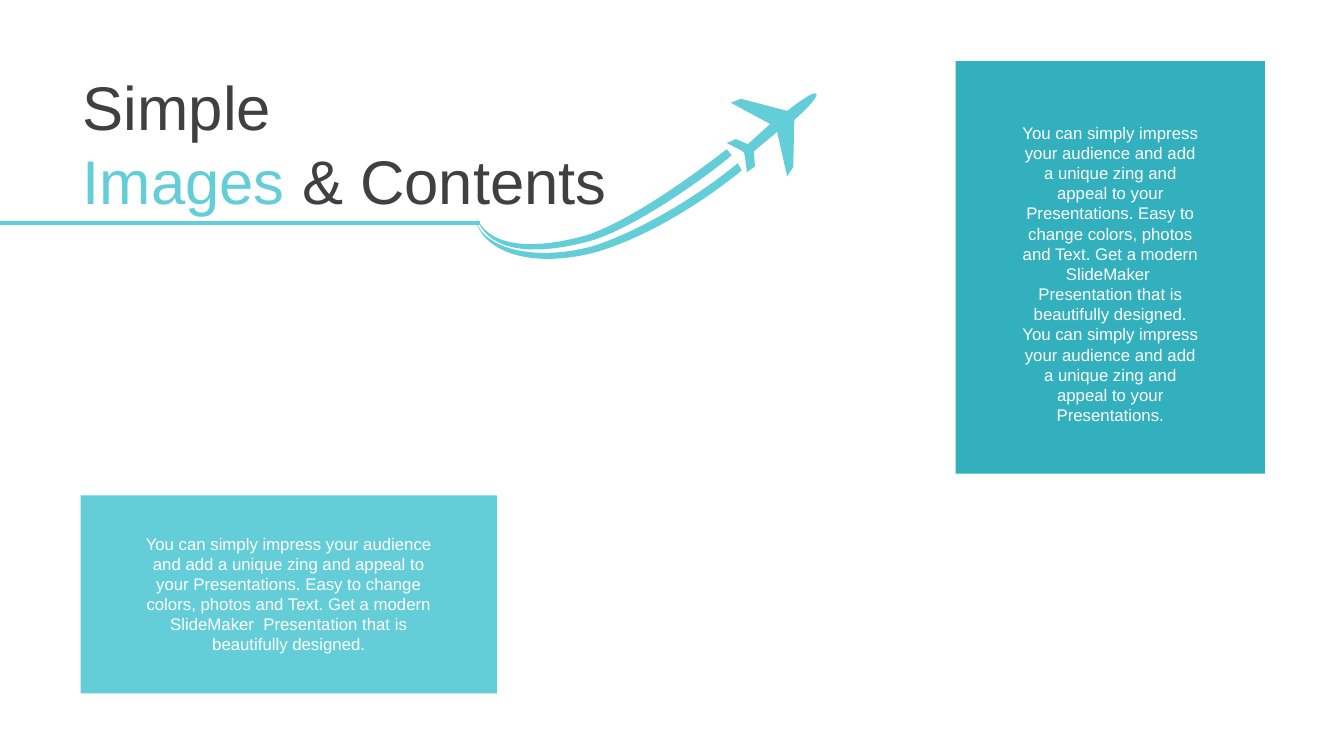
from lxml import etree
from pptx import Presentation
from pptx import util as u
from pptx.dml.color import RGBColor
from pptx.enum import shapes, text
from pptx.oxml.ns import qn

COLORS = {"dark": "404040", "aqua": "64CED8", "teal": "32B0BE", "white": "FFFFFF"}
FONT = "Arial"
BODY_PITCH = 14.4
PITCH = "You can simply impress your audience and add a unique zing and appeal to your Presentations."
DETAIL = " Easy to change colors, photos and Text. Get a modern SlideMaker  Presentation that is beautifully designed."

# Outlines in points from the corner of the flight box:
# a pair is a corner, six numbers are a Bezier curve (two controls, end).
PLANE = [
    (193.5, 59.1), (192.1, 47.6), (191.4, 44.7, 191.4, 44.7, 189.2, 43.3),
    (179.1, 38.2), (185.6, 35.4), (194.2, 39), (210.1, 24.6), (182, 9.4),
    (189.2, 6.6), (222.3, 15.2), (228.8, 10.2, 241, 0.8, 243.2, 3),
    (244.6, 5.8, 233.1, 16.6, 227.4, 21.7), (226.6, 55.5), (222.3, 62),
    (215.1, 30.3), (198.6, 44), (198.6, 46.9, 199.3, 54.8, 199.3, 54.8),
]
UPPER_TRAIL = [
    (182.7, 46.9), (164, 62.7, 115, 98, 81.9, 108.1),
    (33.7, 121, 7, 112.4, 0.6, 91.5), (9.9, 113.1, 42.3, 114.6, 79.8, 103.8),
    (113.6, 92.2, 160.4, 57, 179.1, 42.6),
]
LOWER_TRAIL = [
    (189.9, 57.7), (161.1, 81.4, 120.8, 105.9, 86.2, 116),
    (40.9, 128.2, 6.3, 116.7, -0.2, 93.7), (7, 115.3, 45.2, 122.5, 84.1, 111.7),
    (119.4, 100.2, 161.1, 74.2, 187, 52.6),
]


def color(name):
    """Return the named colour."""
    return RGBColor.from_string(COLORS[name])


def fill_plain(shape, name):
    """Give a shape a flat fill with no outline or shadow."""
    shape.shadow.inherit = False
    shape.fill.solid()
    shape.fill.fore_color.rgb = color(name)
    shape.line.fill.background()


def flatten(outline, steps=16):
    """Sample an outline so that its true extent is known."""
    points = []
    for segment in outline:
        if len(segment) == 2:
            points.append(segment)
            continue
        controls = [points[-1], segment[:2], segment[2:4], segment[4:]]
        for step in range(1, steps + 1):
            t = step / steps
            weights = ((1 - t) ** 3, 3 * t * (1 - t) ** 2, 3 * t * t * (1 - t), t ** 3)
            points.append(tuple(
                sum(weight * point[axis] for weight, point in zip(weights, controls))
                for axis in (0, 1)))
    return points


def add_outline(parent, left, top, outline, fill):
    """Place a filled outline whose curves are true Bezier segments."""
    points = [(u.Pt(left + x), u.Pt(top + y)) for x, y in flatten(outline)]
    builder = parent.shapes.build_freeform(*points[0])
    builder.add_line_segments(points[1:], close=True)
    shape = builder.convert_to_shape()
    fill_plain(shape, fill)
    origin_x, origin_y = min(x for x, _ in points), min(y for _, y in points)
    geometry = next(shape.element.iter(qn("a:path")))
    for child in list(geometry):
        geometry.remove(child)
    for index, segment in enumerate(outline):
        tag = "a:cubicBezTo" if len(segment) == 6 else "a:lnTo" if index else "a:moveTo"
        command = etree.SubElement(geometry, qn(tag))
        for x, y in zip(segment[::2], segment[1::2]):
            etree.SubElement(command, qn("a:pt"), x=str(u.Pt(left + x) - origin_x),
                             y=str(u.Pt(top + y) - origin_y))
    etree.SubElement(geometry, qn("a:close"))


def add_title(slide, left, top, width, height):
    """Place the two-line, two-colour title."""
    title = slide.shapes.title
    title.left, title.top, title.width, title.height = map(u.Pt, (left, top, width, height))
    frame = title.text_frame
    frame.word_wrap = True
    frame.auto_size = text.MSO_AUTO_SIZE.NONE
    frame.vertical_anchor = text.MSO_ANCHOR.TOP
    lines = [[("Simple", "dark")], [("Images ", "aqua"), ("& Contents", "dark")]]
    for index, line in enumerate(lines):
        paragraph = frame.add_paragraph() if index else frame.paragraphs[0]
        paragraph.alignment = text.PP_ALIGN.LEFT
        paragraph.line_spacing = u.Pt(52.8)
        paragraph.font.name, paragraph.font.size = FONT, u.Pt(44)
        for words, name in line:
            run = paragraph.add_run()
            run.text = words
            run.font.color.rgb = color(name)


def add_panel(slide, left, top, width, height, inset_x, inset_y, line_count, fill, words):
    """Place a coloured panel with centred white text inside it."""
    panel = slide.shapes.add_shape(
        shapes.MSO_SHAPE.RECTANGLE, *map(u.Pt, (left, top, width, height)))
    fill_plain(panel, fill)
    box = slide.shapes.add_textbox(*map(u.Pt, (
        left + inset_x, top + inset_y, width - 2 * inset_x, line_count * BODY_PITCH + 7.2)))
    box.text_frame.word_wrap = True
    box.text_frame.auto_size = text.MSO_AUTO_SIZE.SHAPE_TO_FIT_TEXT
    paragraph = box.text_frame.paragraphs[0]
    paragraph.text = words
    paragraph.alignment = text.PP_ALIGN.CENTER
    paragraph.line_spacing = u.Pt(BODY_PITCH)
    paragraph.font.name, paragraph.font.size = FONT, u.Pt(12)
    paragraph.font.color.rgb = color("white")


def add_flight(slide, left, top, runway_y):
    """Place the runway line, the plane and its two trails."""
    runway = slide.shapes.add_connector(
        shapes.MSO_CONNECTOR.STRAIGHT, 0, u.Pt(top + runway_y),
        u.Pt(left + 2.7), u.Pt(top + runway_y))
    runway.line.color.rgb = color("aqua")
    runway.line.width = u.Pt(3)
    etree.SubElement(runway.element.spPr, qn("a:effectLst"))
    add_outline(slide, left, top, PLANE, "aqua")
    trails = slide.shapes.add_group_shape()
    for trail in (UPPER_TRAIL, LOWER_TRAIL):
        add_outline(trails, left, top, trail, "aqua")


presentation = Presentation()
presentation.slide_width, presentation.slide_height = u.Pt(960), u.Pt(540)
slide = presentation.slides.add_slide(presentation.slide_layouts[5])
add_panel(slide, 682.6, 43.7, 221, 294.6, 40.3, 40.3, 15, "teal", f"{PITCH}{DETAIL} {PITCH}")
add_panel(slide, 57.6, 353.8, 297.4, 141.6, 36, 23.7, 6, "aqua", PITCH + DETAIL)
add_title(slide, 52, 45.5, 392.4, 113.8)
add_flight(slide, 340, 64, 95.2)
presentation.save("out.pptx")
